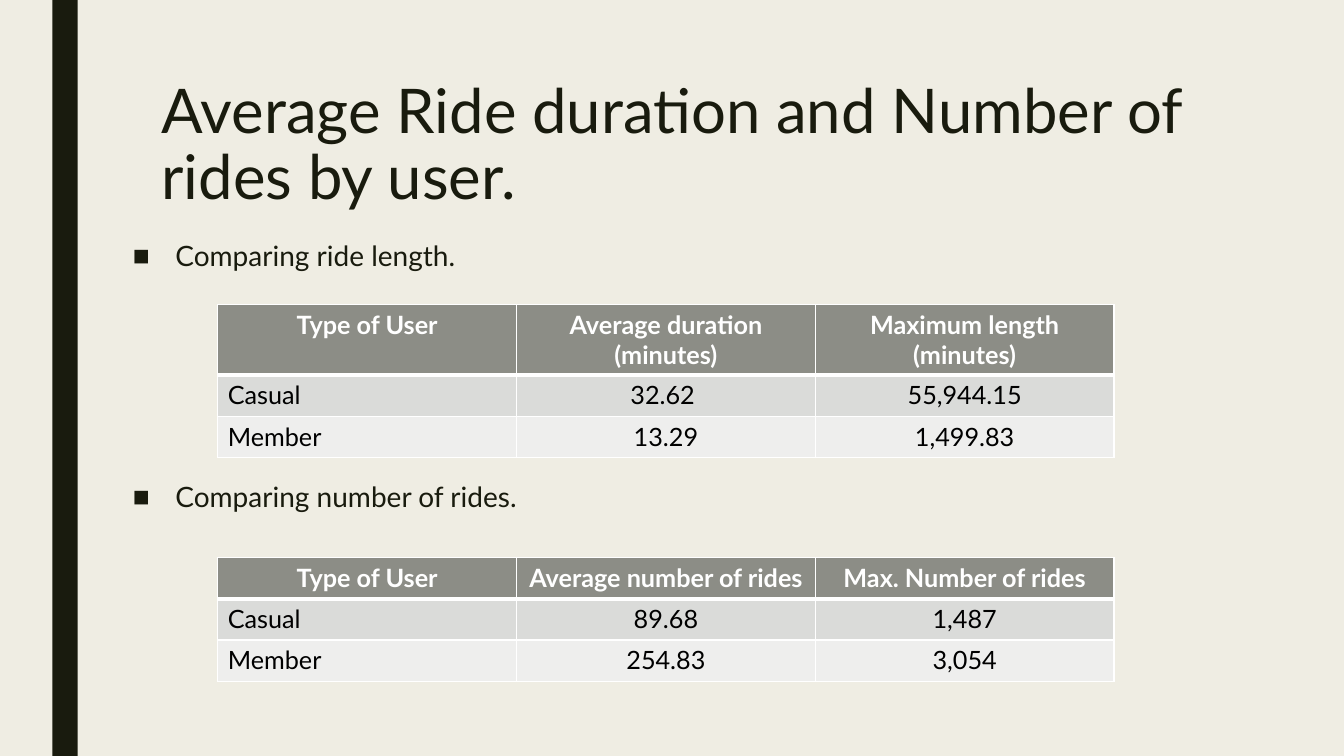
from dataclasses import dataclass

from lxml.etree import SubElement
from pptx import Presentation
from pptx.dml.color import RGBColor
from pptx.enum.shapes import MSO_SHAPE as Shape
from pptx.enum.text import MSO_ANCHOR as Anchor, PP_ALIGN as Align
from pptx.oxml.ns import qn
from pptx.util import Inches, Pt

FONT = "Lato"
INK, PAPER, WHITE, BLACK = "191B0E", "EFEDE3", "FFFFFF", "000000"
HEAD, BANDS = "8C8D86", ("DADBD9", "EEEEED")
LEFT, WIDTH, ROW = 2.16, 8.89, 0.41


@dataclass
class Grid:
    top: float
    head: float
    rows: list[tuple[str, str, str]]


GRIDS = [
    Grid(3.02, 0.69, [
        ("Type of User", "Average duration (minutes)", "Maximum length (minutes)"),
        ("Casual", "32.62 ", "55,944.15"),
        ("Member", "13.29", "1,499.83"),
    ]),
    Grid(5.53, ROW, [
        ("Type of User", "Average number of rides", "Max. Number of rides"),
        ("Casual", "89.68", "1,487"),
        ("Member", "254.83", "3,054"),
    ]),
]


def color(code: str) -> RGBColor:
    return RGBColor.from_string(code)


def paint(item, code: str) -> None:
    item.fill.solid()
    item.fill.fore_color.rgb = color(code)


def write(para, text: str, size: float = 18, ink: str = INK, bold: bool = False,
          align=Align.LEFT, line: float = 1, before: float = 0, after: float = 0,
          bullet: str = "") -> None:
    if bullet:
        props = para._p.get_or_add_pPr()
        props.set("marL", str(Inches(0.42)))
        props.set("indent", str(-Inches(0.42)))
        SubElement(props, qn("a:buFont"), typeface="Arial")
        SubElement(props, qn("a:buChar"), char=bullet)
    para.alignment = align
    para.line_spacing = line
    para.space_before, para.space_after = Pt(before), Pt(after)
    run = para.add_run()
    run.text = text
    run.font.name, run.font.size, run.font.bold = FONT, Pt(size), bold
    run.font.color.rgb = color(ink)


def place(shape, left: float, top: float, width: float, height: float) -> None:
    shape.left, shape.top = Inches(left), Inches(top)
    shape.width, shape.height = Inches(width), Inches(height)


def edge(cell, side: str, width: float) -> None:
    line = SubElement(cell._tc.get_or_add_tcPr(), qn(f"a:ln{side}"), w=str(Pt(width)))
    fill = SubElement(line, qn("a:solidFill"))
    SubElement(fill, qn("a:srgbClr"), val=WHITE)


def draw_grid(slide, grid: Grid) -> None:
    count, wide = len(grid.rows), len(grid.rows[0])
    height = grid.head + ROW * (count - 1)
    table = slide.shapes.add_table(count, wide, Inches(LEFT), Inches(grid.top),
                                   Inches(WIDTH), Inches(height)).table
    for row, texts in enumerate(grid.rows):
        first = row == 0
        table.rows[row].height = Inches(grid.head if first else ROW)
        for col, text in enumerate(texts):
            cell = table.cell(row, col)
            for side in "LRTB":
                thick = (side, row) in (("B", 0), ("T", 1))
                edge(cell, side, 3 if thick else 1)
            paint(cell, HEAD if first else BANDS[row - 1])
            write(cell.text_frame.paragraphs[0], text, bold=first,
                  ink=WHITE if first else BLACK,
                  align=Align.CENTER if first or col else Align.LEFT)


def draw_bar(slide) -> None:
    bar = slide.shapes.add_shape(Shape.RECTANGLE, Inches(0.52), 0, Inches(0.25), Inches(7.5))
    bar.shadow.inherit = False
    bar.line.fill.background()
    paint(bar, INK)


def draw_title(slide) -> None:
    title = slide.shapes.title
    place(title, 1.5, 0.75, 10.5, 1.62)
    title.text_frame.vertical_anchor = Anchor.TOP
    write(title.text_frame.paragraphs[0],
          "Average Ride duration and Number of rides by user.", size=44, line=0.89)


def draw_list(slide) -> None:
    box = slide.shapes.add_textbox(Inches(1.22), Inches(2.34), Inches(10.78), Inches(4.18))
    frame = box.text_frame
    frame.word_wrap = True
    style = dict(size=20, align=Align.JUSTIFY, line=0.94, after=2, bullet="■")
    write(frame.paragraphs[0], "Comparing ride length.", **style)
    write(frame.add_paragraph(), "Comparing number of rides.", before=148, **style)


def main() -> None:
    """Build the ride comparison slide."""
    deck = Presentation()
    deck.slide_width, deck.slide_height = Inches(13.33), Inches(7.5)
    slide = deck.slides.add_slide(deck.slide_layouts[5])
    paint(slide.background, PAPER)
    draw_bar(slide)
    draw_title(slide)
    draw_list(slide)
    for grid in GRIDS:
        draw_grid(slide, grid)
    deck.save("out.pptx")


if __name__ == "__main__":
    main()
